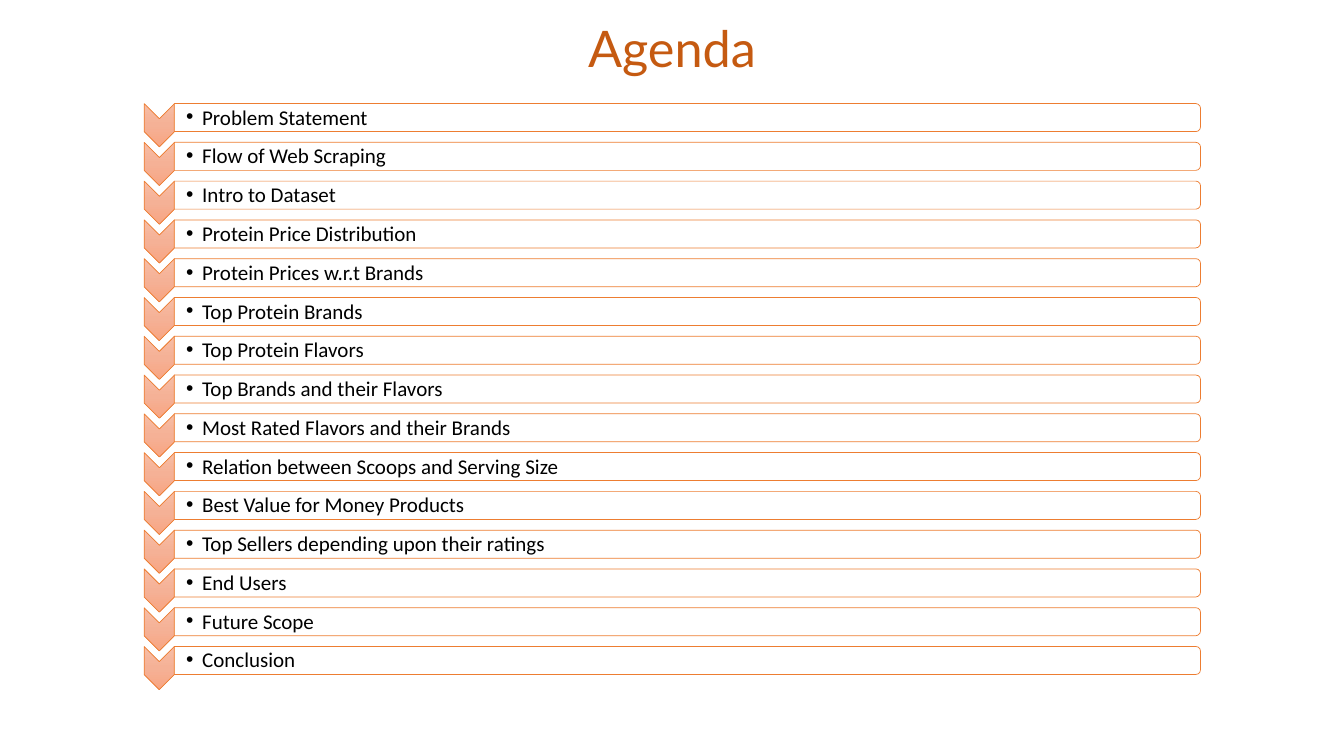
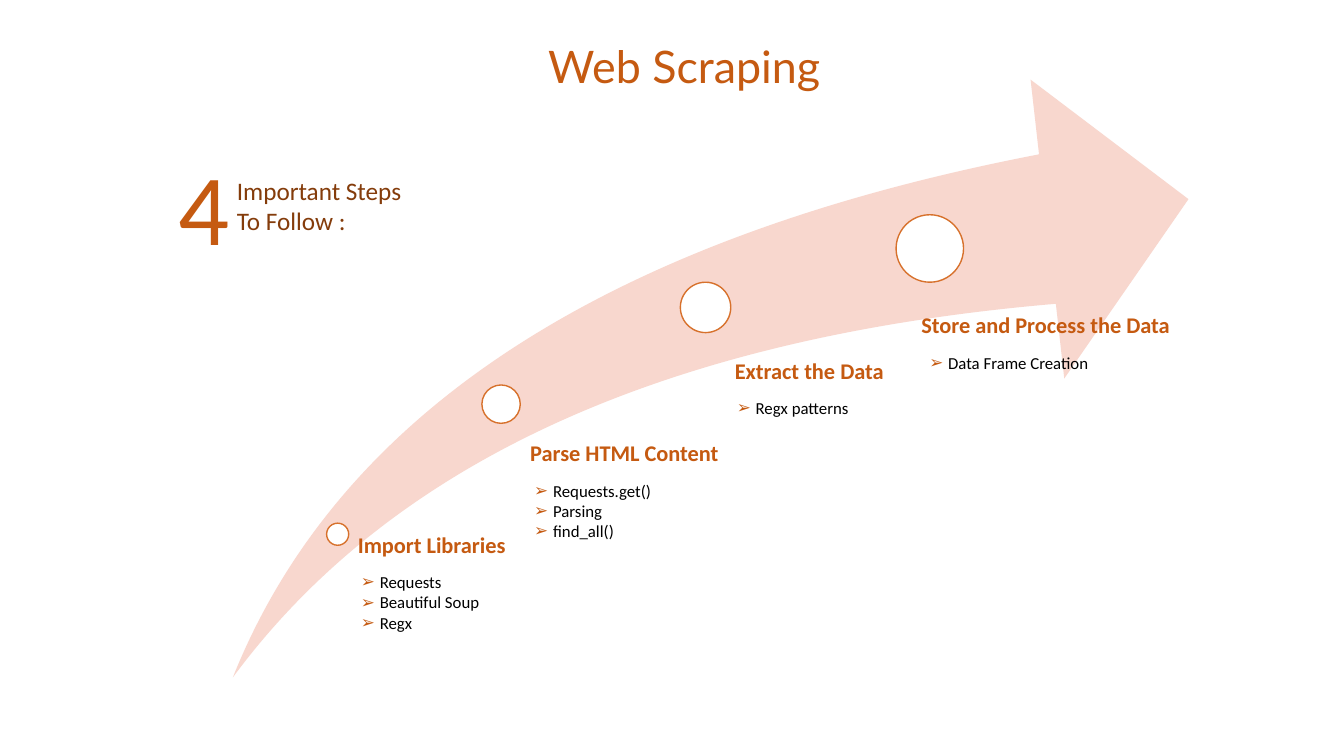
from dataclasses import dataclass

from lxml.etree import SubElement
from pptx import Presentation
from pptx.dml.color import RGBColor
from pptx.enum.shapes import MSO_SHAPE
from pptx.enum.text import MSO_ANCHOR, MSO_AUTO_SIZE, PP_ALIGN
from pptx.oxml.ns import qn
from pptx.shapes.autoshape import Shape
from pptx.slide import Slide
from pptx.text.text import TextFrame, _Paragraph
from pptx.util import Pt

# Shared colours and fonts
RUST = RGBColor(0xC5, 0x5A, 0x11)
BROWN = RGBColor(0x84, 0x3C, 0x0B)
ORANGE = RGBColor(0xED, 0x7D, 0x31)
DOT_LINE = RGBColor(0xD7, 0x71, 0x2C)
PEACH = RGBColor(0xF8, 0xD7, 0xCE)
WHITE = RGBColor(0xFF, 0xFF, 0xFF)
BLACK = RGBColor(0x00, 0x00, 0x00)
CHEVRON_STOPS = (
    (0, RGBColor(0xF7, 0xBD, 0xA5)),
    (50, RGBColor(0xF5, 0xB1, 0x96)),
    (100, RGBColor(0xF8, 0xA5, 0x82)),
)
TITLE_FONT = "Lato"
TEXT_FONT = "Calibri"

# Agenda grid
ROW_PITCH = 27.7
ROW_TOP = 74
LINE_HEIGHT = 18
AGENDA = (
    "Problem Statement",
    "Flow of Web Scraping",
    "Intro to Dataset",
    "Protein Price Distribution",
    "Protein Prices w.r.t Brands",
    "Top Protein Brands",
    "Top Protein Flavors",
    "Top Brands and their Flavors",
    "Most Rated Flavors and their Brands",
    "Relation between Scoops and Serving Size",
    "Best Value for Money Products",
    "Top Sellers depending upon their ratings",
    "End Users",
    "Future Scope",
    "Conclusion",
)


@dataclass(frozen=True)
class Area:
    left: float
    top: float
    width: float
    height: float


@dataclass(frozen=True)
class Step:
    dot: Area
    heading: str
    heading_left: float
    heading_top: float
    list_left: float
    items: tuple[str, ...]


LIST_DROP = 27  # from the top of a heading to the top of its list
STEPS = (
    Step(Area(233.3, 373.7, 15.8, 15.8), "Import Libraries", 255.6, 381.6, 257.8,
         ("Requests", "Beautiful Soup", "Regx")),
    Step(Area(344.2, 275, 27.4, 27.4), "Parse HTML Content", 378.7, 316.1, 381.6,
         ("Requests.get()", "Parsing", "find_all()")),
    Step(Area(486, 201.6, 36, 36), "Extract the Data", 524.9, 257, 526.3,
         ("Regx patterns",)),
    Step(Area(640.1, 153.4, 48.2, 48.2), "Store and Process the Data", 658.1, 224.6, 663.8,
         ("Data Frame Creation",)),
)


def place(shape: Shape, area: Area) -> None:
    shape.left, shape.top = Pt(area.left), Pt(area.top)
    shape.width, shape.height = Pt(area.width), Pt(area.height)


def set_frame(frame: TextFrame, inset: float = 0) -> None:
    frame.word_wrap = True
    frame.auto_size = MSO_AUTO_SIZE.NONE
    frame.vertical_anchor = MSO_ANCHOR.TOP
    frame.margin_left = frame.margin_right = Pt(inset)
    frame.margin_top = frame.margin_bottom = Pt(inset)


def add_span(para: _Paragraph, text: str, size: float, color: RGBColor,
             font: str = TEXT_FONT, bold: bool = False) -> None:
    span = para.add_run()
    span.text = text
    span.font.name = font
    span.font.size = Pt(size)
    span.font.bold = bold
    span.font.color.rgb = color


def add_lines(frame: TextFrame, lines: tuple[str, ...], size: float,
              color: RGBColor, bold: bool = False) -> list[_Paragraph]:
    for index, line in enumerate(lines):
        para = frame.add_paragraph() if index else frame.paragraphs[0]
        add_span(para, line, size, color, bold=bold)
    return list(frame.paragraphs)


def set_bullet(para: _Paragraph, mark: str, indent: float, color: RGBColor) -> None:
    properties = para._p.get_or_add_pPr()
    properties.set("marL", str(Pt(indent)))
    properties.set("indent", str(-Pt(indent)))
    bullet_color = SubElement(properties, qn("a:buClr"))
    SubElement(bullet_color, qn("a:srgbClr"), val=str(color))
    SubElement(properties, qn("a:buFont"), typeface="Arial")
    SubElement(properties, qn("a:buChar"), char=mark)


def add_text(page: Slide, area: Area, lines: tuple[str, ...], size: float,
             color: RGBColor, bold: bool = False) -> list[_Paragraph]:
    box = page.shapes.add_textbox(Pt(area.left), Pt(area.top), Pt(area.width), Pt(area.height))
    set_frame(box.text_frame)
    return add_lines(box.text_frame, lines, size, color, bold)


def set_title(page: Slide, text: str, area: Area, size: float, align: PP_ALIGN) -> None:
    title = page.shapes.title
    place(title, area)
    set_frame(title.text_frame, 3.6)
    para = title.text_frame.paragraphs[0]
    para.alignment = align
    add_span(para, text, size, RUST, TITLE_FONT)


def add_outline(page: Slide, kind: MSO_SHAPE, area: Area, fill: RGBColor,
                line: RGBColor | None = None, line_width: float = 1) -> Shape:
    shape = page.shapes.add_shape(
        kind, Pt(area.left), Pt(area.top), Pt(area.width), Pt(area.height))
    shape.shadow.inherit = False
    shape.fill.solid()
    shape.fill.fore_color.rgb = fill
    if line is None:
        shape.line.fill.background()
    else:
        shape.line.color.rgb = line
        shape.line.width = Pt(line_width)
    return shape


def add_turned(page: Slide, kind: MSO_SHAPE, seen: Area, fill: RGBColor) -> Shape:
    """Draw a shape turned a quarter clockwise so that it covers the seen area."""
    shift = (seen.width - seen.height) / 2
    area = Area(seen.left + shift, seen.top - shift, seen.height, seen.width)
    shape = add_outline(page, kind, area, fill, ORANGE, 0.5)
    shape.rotation = 90
    return shape


def set_gradient(shape: Shape) -> None:
    shape.fill.gradient()
    gradient = shape._element.spPr.find(qn("a:gradFill"))
    gradient.set("rotWithShape", "0")
    for part in list(gradient):
        gradient.remove(part)
    stops = SubElement(gradient, qn("a:gsLst"))
    for percent, color in CHEVRON_STOPS:
        stop = SubElement(stops, qn("a:gs"), pos=str(percent * 1000))
        SubElement(stop, qn("a:srgbClr"), val=str(color))
    SubElement(gradient, qn("a:lin"), ang="5400000", scaled="0")


def build_agenda(deck: Presentation) -> None:
    page = deck.slides.add_slide(deck.slide_layouts[1])
    set_title(page, "Agenda", Area(103, 8.6, 754, 52), 36, PP_ALIGN.CENTER)

    # Chevrons and bars
    for row in range(len(AGENDA)):
        top = ROW_TOP + row * ROW_PITCH
        chevron = add_turned(page, MSO_SHAPE.CHEVRON, Area(103, top, 21.6, 30.8), ORANGE)
        set_gradient(chevron)
        add_turned(page, MSO_SHAPE.ROUND_2_SAME_RECTANGLE, Area(124.5, top, 733, 20), WHITE)

    # One list in front of the bars
    body = page.placeholders[1]
    place(body, Area(133, ROW_TOP + 0.4, 720, len(AGENDA) * ROW_PITCH))
    page.shapes._spTree.append(body._element)
    set_frame(body.text_frame)
    for para in add_lines(body.text_frame, AGENDA, 15, BLACK):
        para.line_spacing = Pt(LINE_HEIGHT)
        para.space_before = Pt(0)
        para.space_after = Pt(ROW_PITCH - LINE_HEIGHT)
        set_bullet(para, "•", 11.4, BLACK)


def build_web_scraping(deck: Presentation) -> None:
    page = deck.slides.add_slide(deck.slide_layouts[5])
    set_title(page, "Web Scraping", Area(388, 23.8, 249, 46), 32, PP_ALIGN.LEFT)

    # Rising arrow
    arrow = add_outline(page, MSO_SHAPE.SWOOSH_ARROW, Area(166.3, 56.9, 682.6, 427), PEACH)
    arrow.adjustments[0] = arrow.adjustments[1] = 0.25

    # Steps along the arrow
    for step in STEPS:
        add_outline(page, MSO_SHAPE.OVAL, step.dot, WHITE, DOT_LINE)
        heading = Area(step.heading_left, step.heading_top, 195, 20)
        for para in add_text(page, heading, (step.heading,), 16, RUST, bold=True):
            para.line_spacing = 0.9
        item_area = Area(step.list_left, step.heading_top + LIST_DROP,
                         130, 15 * len(step.items))
        for para in add_text(page, item_area, step.items, 12, BLACK):
            set_bullet(para, "➢", 13.5, RUST)

    # Lead-in
    add_text(page, Area(169.2, 125.3, 145, 46), ("Important Steps", "To Follow :"), 18, BROWN)
    add_text(page, Area(127.4, 103, 40, 90), ("4",), 72, RUST)


def main() -> None:
    deck = Presentation()
    deck.slide_width, deck.slide_height = Pt(960), Pt(540)
    build_agenda(deck)
    build_web_scraping(deck)
    deck.save("out.pptx")


if __name__ == "__main__":
    main()
